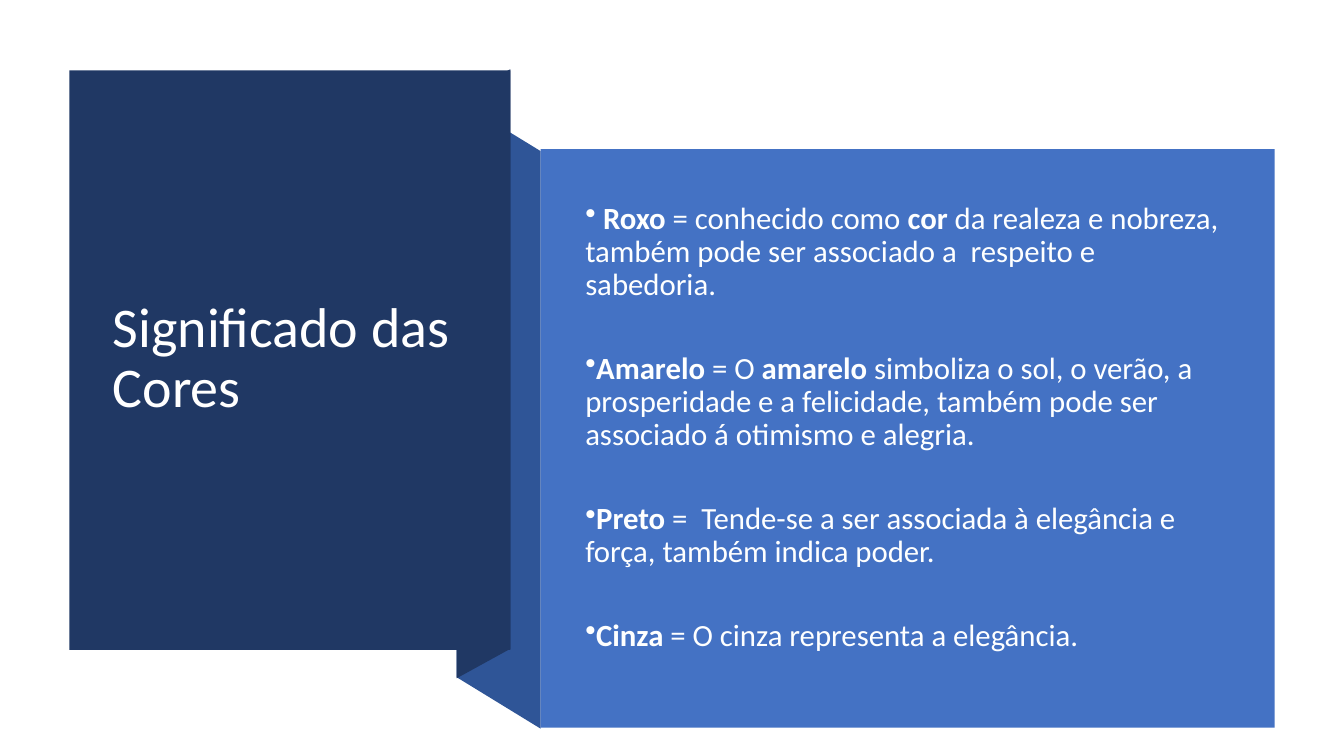
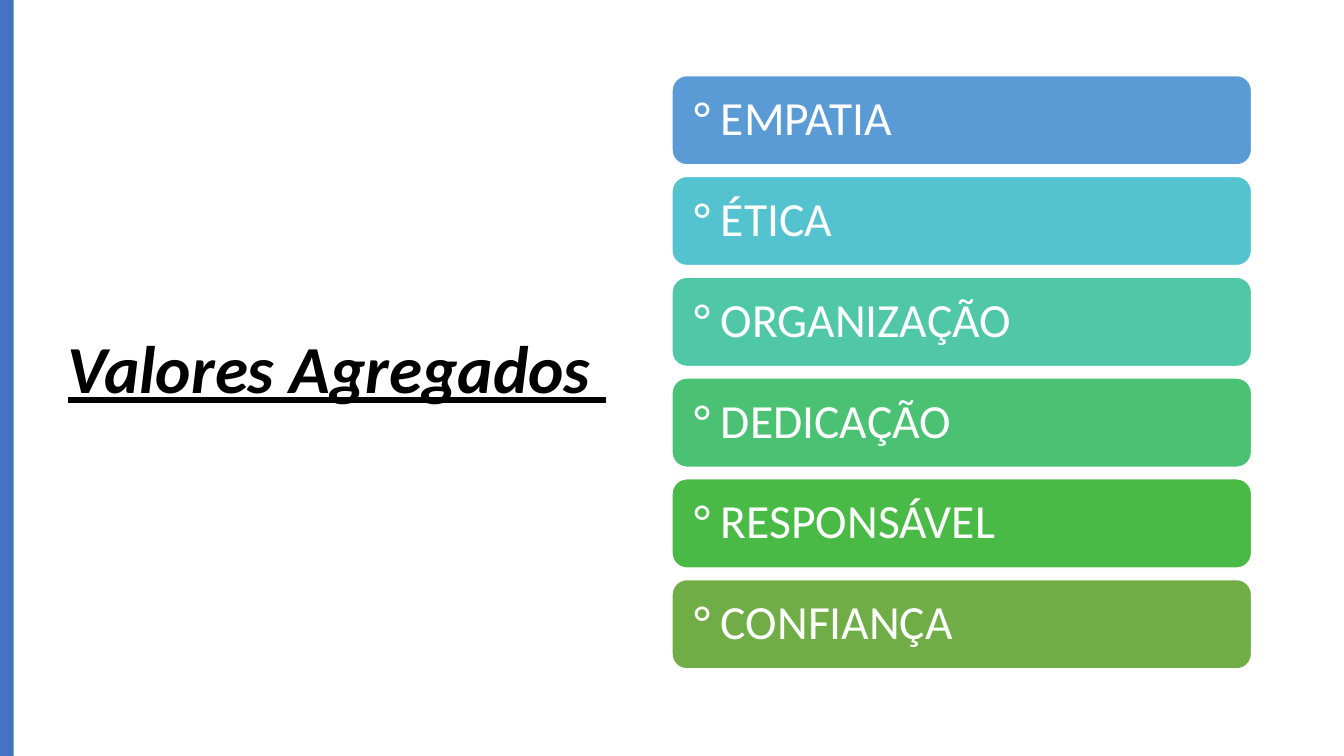
import dataclasses

import pptx
import pptx.dml.color
import pptx.enum.shapes
import pptx.enum.text
import pptx.oxml
import pptx.util

EMU_PER_PX = 9525
RECTANGLE = pptx.enum.shapes.MSO_SHAPE.RECTANGLE
ROUNDED = pptx.enum.shapes.MSO_SHAPE.ROUNDED_RECTANGLE
MIDDLE = pptx.enum.text.MSO_ANCHOR.MIDDLE
LEFT = pptx.enum.text.PP_ALIGN.LEFT


@dataclasses.dataclass(frozen=True)
class Theme:
    font: str = "Calibri"
    accent: str = "4472C4"
    spine: str = "2F5597"
    navy: str = "203864"
    white: str = "FFFFFF"
    body_white: str = "FEFFFF"
    black: str = "000000"
    value_fills: tuple = ("5B9BD5", "55C3CF", "50C8A7", "4BC174", "4ABA46", "70AD47")
    title_size: int = 40
    emphatic_title_size: int = 48
    body_size: int = 22
    value_size: int = 34
    line_spacing: float = 0.9
    body_gap: int = 36


def px(length):
    return pptx.util.Emu(length * EMU_PER_PX)


def rgb(color):
    return pptx.dml.color.RGBColor.from_string(color)


class Deck:
    def __init__(self, theme):
        self.theme = theme
        self.presentation = pptx.Presentation()
        self.presentation.slide_width = px(1280)
        self.presentation.slide_height = px(720)
        self.slide = None

    def new_slide(self):
        self.slide = self.presentation.slides.add_slide(self.presentation.slide_layouts[6])

    def paint(self, shape, fill, line=None):
        shape.shadow.inherit = False
        shape.fill.solid()
        shape.fill.fore_color.rgb = rgb(fill)
        if line:
            shape.line.color.rgb = rgb(line)
            shape.line.width = pptx.util.Pt(1)
        else:
            shape.line.fill.background()

    def block(self, box, fill, kind=RECTANGLE, line=None):
        shape = self.slide.shapes.add_shape(kind, *map(px, box))
        self.paint(shape, fill, line)
        return shape

    def polygon(self, points, fill):
        builder = self.slide.shapes.build_freeform(*points[0], scale=EMU_PER_PX)
        builder.add_line_segments(points[1:], close=True)
        self.paint(builder.convert_to_shape(), fill)

    def text_frame(self, box):
        frame = self.slide.shapes.add_textbox(*map(px, box)).text_frame
        frame.word_wrap = True
        frame.vertical_anchor = MIDDLE
        return frame

    def style(self, paragraph, size, color):
        paragraph.alignment = LEFT
        paragraph.line_spacing = self.theme.line_spacing
        for run in paragraph.runs:
            run.font.name = self.theme.font
            run.font.size = pptx.util.Pt(size)
            run.font.color.rgb = rgb(color)

    def title(self, box, text, size, color, emphatic=False):
        frame = self.text_frame(box)
        frame.text = text
        self.style(frame.paragraphs[0], size, color)
        if emphatic:
            font = frame.paragraphs[0].runs[0].font
            font.bold = font.italic = font.underline = True

    def bullets(self, box, items):
        frame = self.text_frame(box)
        for index, item in enumerate(items):
            paragraph = frame.paragraphs[0] if index == 0 else frame.add_paragraph()
            for position, part in enumerate(item.split("*")):
                if part:
                    run = paragraph.add_run()
                    run.text = part
                    run.font.bold = position % 2 == 1
            self.style(paragraph, self.theme.body_size, self.theme.body_white)
            last = index == len(items) - 1
            paragraph.space_after = pptx.util.Pt(6 if last else self.theme.body_gap)
            properties = paragraph._p.get_or_add_pPr()
            properties.set("marL", "0")
            properties.set("indent", str(-px(24)))
            bullet = pptx.oxml.parse_xml(
                '<a:buChar xmlns:a="http://schemas.openxmlformats.org/drawingml/2006/main" char="•"/>'
            )
            properties.append(bullet)

    def value_bar(self, box, text, fill):
        bar = self.block(box, fill, ROUNDED, self.theme.white)
        frame = bar.text_frame
        frame.margin_left = frame.margin_right = px(17)
        frame.margin_top = frame.margin_bottom = 0
        frame.vertical_anchor = MIDDLE
        frame.text = text
        self.style(frame.paragraphs[0], self.theme.value_size, self.theme.white)


def color_meanings(deck):
    theme = deck.theme
    deck.new_slide()
    deck.polygon([(515, 694), (435, 645), (435, 95), (515, 144)], theme.spine)
    deck.polygon([(486, 618), (435, 646), (435, 94), (486, 66)], theme.navy)
    deck.block((66, 67, 420, 552), theme.navy)
    deck.title((98, 103, 356, 479), "Significado das Cores", theme.title_size, theme.white)
    deck.block((515, 142, 699, 551), theme.accent)
    deck.bullets((548, 180, 625, 455), [
        " *Roxo* = conhecido como *cor *da realeza e nobreza, "
        "também pode ser associado a  respeito e sabedoria.",
        "*Amarelo* = O *amarelo* simboliza o sol, o verão, a prosperidade e a felicidade, "
        "também pode ser associado á otimismo e alegria.",
        "*Preto* =  Tende-se a ser associada à elegância e força, também indica poder.",
        "*Cinza* = O cinza representa a elegância.",
    ])


def added_values(deck):
    theme = deck.theme
    deck.new_slide()
    deck.title((55, 65, 544, 578), "Valores Agregados ", theme.emphatic_title_size,
               theme.black, emphatic=True)
    deck.block((0, 0, 13, 720), theme.accent)
    values = ["EMPATIA", "ÉTICA", "ORGANIZAÇÃO", "DEDICAÇÃO", "RESPONSÁVEL", "CONFIANÇA"]
    for row, (value, fill) in enumerate(zip(values, theme.value_fills)):
        deck.value_bar((640, 72 + 96 * row, 552, 85), f"° {value}", fill)


def main():
    deck = Deck(Theme())
    color_meanings(deck)
    added_values(deck)
    deck.presentation.save("out.pptx")


if __name__ == "__main__":
    main()
